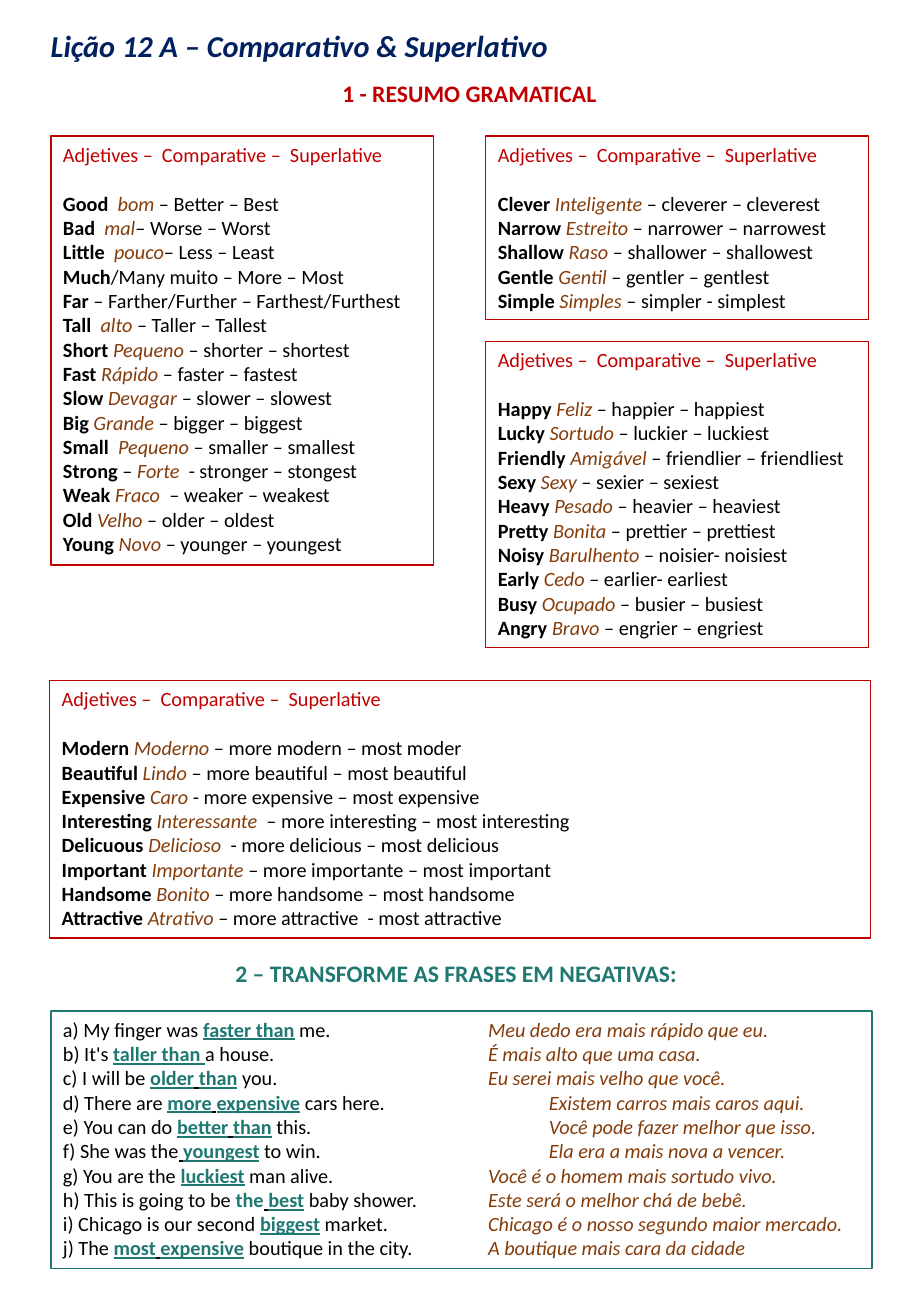
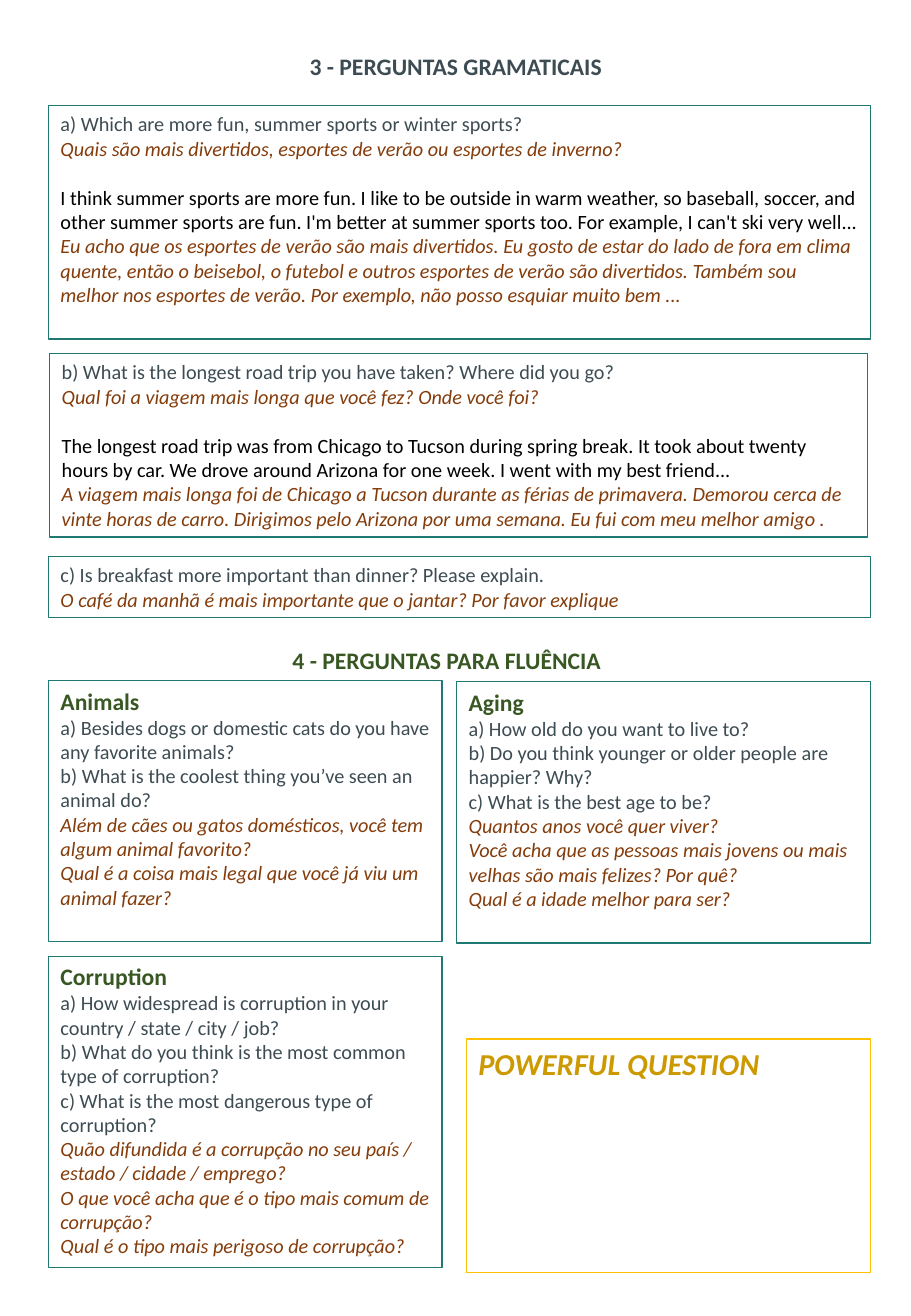
from lxml import etree
from pptx import Presentation
from pptx.dml.color import RGBColor
from pptx.enum.shapes import MSO_SHAPE
from pptx.enum.text import MSO_ANCHOR, PP_ALIGN
from pptx.oxml.ns import qn
from pptx.util import Inches, Pt

RECT = MSO_SHAPE.RECTANGLE
TOP = MSO_ANCHOR.TOP
LEFT, CENTER = PP_ALIGN.LEFT, PP_ALIGN.CENTER

FONT = "Calibri"
BLANK_LINE = 14.65
COLORS = {
    "navy": "002060",
    "red": "C00000",
    "teal": "1F7872",
    "brown": "843C0B",
    "slate": "3D4C53",
    "green": "385723",
    "gold": "CC9900",
    "yellow": "FFC000",
    "black": "000000",
}
MARKS = {
    "#": {"bold": True},
    "~": {"color": "brown", "italic": True},
    "+": {"color": "teal", "bold": True},
    "*": {"color": "teal", "bold": True, "underline": True},
    "_": {"underline": True},
}

WORD_HEADER = "Adjetives –  Comparative –  Superlative"
WORD_BOXES = [
    ((0.42, 1.12, 3.15, 3.53), [
        "#Good  |~bom| – Better – Best",
        "#Bad  |~mal|– Worse – Worst",
        "#Little  |~pouco|– Less – Least",
        "#Much|/Many muito – More – Most",
        "#Far| – Farther/Further – Farthest/Furthest",
        "#Tall  |~alto| – Taller – Tallest",
        "#Short |~Pequeno| – shorter – shortest",
        "#Fast |~Rápido| – faster – fastest",
        "#Slow |~Devagar| – slower – slowest",
        "#Big |~Grande| – bigger – biggest",
        "#Small  |~Pequeno| – smaller – smallest",
        "#Strong| – |~Forte|  - stronger – stongest",
        "#Weak |~Fraco|  – weaker – weakest",
        "#Old |~Velho| – older – oldest",
        "#Young |~Novo| – younger – youngest",
    ]),
    ((4, 1.12, 3.15, 1.51), [
        "#Clever |~Inteligente| – cleverer – cleverest",
        "#Narrow |~Estreito| – narrower – narrowest",
        "#Shallow |~Raso| – shallower – shallowest",
        "#Gentle |~Gentil| – gentler – gentlest",
        "#Simple |~Simples| – simpler - simplest",
    ]),
    ((4, 2.81, 3.15, 2.52), [
        "#Happy |~Feliz| – happier – happiest",
        "#Lucky |~Sortudo| – luckier – luckiest",
        "#Friendly |~Amigável| – friendlier – friendliest",
        "#Sexy |~Sexy| – sexier – sexiest",
        "#Heavy |~Pesado| – heavier – heaviest",
        "#Pretty |~Bonita| – prettier – prettiest",
        "#Noisy |~Barulhento| – noisier- noisiest",
        "#Early |~Cedo| – earlier- earliest",
        "#Busy |~Ocupado| – busier – busiest",
        "#Angry |~Bravo| – engrier – engriest",
    ]),
    ((0.41, 5.6, 6.76, 2.12), [
        "#Modern |~Moderno| – more modern – most moder",
        "#Beautiful |~Lindo| – more beautiful – most beautiful",
        "#Expensive |~Caro| - more expensive – most expensive",
        "#Interesting |~Interessante|  – more interesting – most interesting",
        "#Delicuous |~Delicioso|  - more delicious – most delicious",
        "#Important |~Importante| – more importante – most important",
        "#Handsome |~Bonito| – more handsome – most handsome",
        "#Attractive |~Atrativo| – more attractive  - most attractive",
    ]),
]

SENTENCE_TABS = (3.5, 4)
SENTENCES = [
    "a) My finger was |*faster than| me.|~\tMeu dedo era mais rápido que eu.",
    "b) It's |*taller than |a house.|~\tÉ mais alto que uma casa.",
    "c) I will be |*older|_ |*than| you.|~\tEu serei mais velho que você.",
    "d) There are |*more|_ |*expensive| cars here.|~\t\tExistem carros mais caros aqui.",
    "e) You can do |*better|_ |*than| this.|~\t\tVocê pode fazer melhor que isso.",
    "f) She was the|_ |*youngest| to win.|~\t\tEla era a mais nova a vencer.",
    "g) You are the |*luckiest| man alive.|~\tVocê é o homem mais sortudo vivo.",
    "h) This is going to be |+the|_ |*best| baby shower.|~\tEste será o melhor chá de bebê.",
    "i) Chicago is our second |*biggest| market.|~\tChicago é o nosso segundo maior mercado.",
    "j) The |*most|_ |*expensive| boutique in the city.|~\tA boutique mais cara da cidade",
]

GRAMMAR_BOXES = [
    ((0.4, 0.87, 6.77, 1.92),
     "a) Which are more fun, summer sports or winter sports?",
     "~Quais são mais divertidos, esportes de verão ou esportes de inverno?",
     ["I think summer sports are more fun. I like to be outside in warm weather, so baseball, "
      "soccer, and other summer sports are fun. I'm better at summer sports too. For example, "
      "I can't ski very well...",
      "~Eu acho que os esportes de verão são mais divertidos. Eu gosto de estar do lado de fora "
      "em clima quente, então o beisebol, o futebol e outros esportes de verão são divertidos. "
      "Também sou melhor nos esportes de verão. Por exemplo, não posso esquiar muito bem ..."]),
    ((0.41, 2.91, 6.73, 1.51),
     "b) What is the longest road trip you have taken? Where did you go?",
     "~Qual foi a viagem mais longa que você fez? Onde você foi?",
     ["The longest road trip was from Chicago to Tucson during spring break. It took about "
      "twenty hours by car. We drove around Arizona for one week. I went with my best friend...",
      "~A viagem mais longa foi de Chicago a Tucson durante as férias de primavera. Demorou "
      "cerca de vinte horas de carro. Dirigimos pelo Arizona por uma semana. Eu fui com meu "
      "melhor amigo ."]),
    ((0.4, 4.58, 6.77, 0.5),
     "c) Is breakfast more important than dinner? Please explain.",
     "~O café da manhã é mais importante que o jantar? Por favor explique",
     []),
]

FLUENCY_BOXES = [
    ((0.4, 5.6, 3.24, 2.15), "Animals", [
        "a) Besides dogs or domestic cats do you have any favorite animals?",
        "b) What is the coolest thing you’ve seen an animal do?",
        "~Além de cães ou gatos domésticos, você tem algum animal favorito?",
        "~Qual é a coisa mais legal que você já viu um animal fazer?",
    ]),
    ((3.76, 5.61, 3.41, 2.15), "Aging", [
        "a) How old do you want to live to?",
        "b) Do you think younger or older people are happier? Why?",
        "c) What is the best age to be?",
        "~Quantos anos você quer viver?",
        "~Você acha que as pessoas mais jovens ou mais velhas são mais felizes? Por quê?",
        "~Qual é a idade melhor para ser?",
    ]),
    ((0.4, 7.87, 3.24, 2.56), "Corruption", [
        "a) How widespread is corruption in your country / state / city / job?",
        "b) What do you think is the most common type of corruption?",
        "c) What is the most dangerous type of corruption?",
        "~Quão difundida é a corrupção no seu país / estado / cidade / emprego?",
        "~O que você acha que é o tipo mais comum de corrupção?",
        "~Qual é o tipo mais perigoso de corrupção?",
    ]),
]


def rgb(name):
    return RGBColor.from_string(COLORS[name])


def add_run(p, text, size=12, color="black", bold=False, italic=False, underline=False):
    r = p.add_run()
    r.text = text
    font = r.font
    font.name, font.size = FONT, Pt(size)
    font.bold, font.italic, font.underline = bold, italic, underline
    font.color.rgb = rgb(color)


def add_text(tf, text, align=LEFT, after=0, spacing=None, tabs=(), **fmt):
    p = tf.paragraphs[0]
    if p.runs:
        p = tf.add_paragraph()
    p.alignment = align
    p.space_after = Pt(after)
    if spacing:
        p.line_spacing = spacing
    if tabs:
        tab_list = etree.SubElement(p._p.get_or_add_pPr(), qn("a:tabLst"))
        for pos in tabs:
            etree.SubElement(tab_list, qn("a:tab"), pos=str(Inches(pos)), algn="l")
    for piece in text.split("|"):
        mark = MARKS.get(piece[0])
        add_run(p, piece[1:] if mark else piece, **{**fmt, **(mark or {})})


def add_box(s, at, line="teal"):
    sp = s.shapes.add_shape(RECT, *map(Inches, at))
    sp.shadow.inherit = False
    sp.fill.background()
    sp.line.color.rgb = rgb(line)
    sp.line.width = Pt(0.75)
    tf = sp.text_frame
    tf.word_wrap = True
    tf.vertical_anchor = TOP
    return tf


def add_heading(s, at, text, color, size=14, **fmt):
    tf = s.shapes.add_textbox(*map(Inches, at)).text_frame
    tf.word_wrap = False
    add_text(tf, text, size=size, color=color, bold=True, **fmt)


def add_word_box(s, at, words):
    tf = add_box(s, at, "red")
    add_text(tf, WORD_HEADER, color="red", after=BLANK_LINE)
    for word in words:
        add_text(tf, word)


def add_sentence_box(s, at):
    tf = add_box(s, at)
    for sentence in SENTENCES:
        add_text(tf, sentence, tabs=SENTENCE_TABS)


def add_grammar_box(s, at, question, translation, answer):
    tf = add_box(s, at)
    add_text(tf, question, color="slate")
    add_text(tf, translation, after=BLANK_LINE if answer else 0)
    for text in answer:
        add_text(tf, text)


def add_fluency_box(s, at, topic, questions):
    tf = add_box(s, at)
    add_text(tf, topic, size=14, color="green", bold=True)
    for question in questions:
        add_text(tf, question, color="slate")


def build_summary(s):
    add_heading(s, (0.29, 0.15, 4.35, 0.43), "Lição 12 A – Comparativo & Superlativo",
                "navy", size=18, italic=True, align=CENTER, spacing=1.07)
    add_heading(s, (2.72, 0.6, 2.31, 0.34), "1 - RESUMO GRAMATICAL", "red")
    for box in WORD_BOXES:
        add_word_box(s, *box)
    add_heading(s, (1.84, 7.84, 3.86, 0.34), "2 – TRANSFORME AS FRASES EM NEGATIVAS:", "teal")
    add_sentence_box(s, (0.42, 8.32, 6.76, 2.12))


def build_questions(s):
    add_heading(s, (2.45, 0.38, 2.63, 0.34), "3 - PERGUNTAS GRAMATICAIS", "slate")
    for box in GRAMMAR_BOXES:
        add_grammar_box(s, *box)
    add_heading(s, (2.31, 5.27, 2.76, 0.34), "4 - PERGUNTAS PARA FLUÊNCIA", "green")
    for box in FLUENCY_BOXES:
        add_fluency_box(s, *box)
    tf = add_box(s, (3.84, 8.55, 3.33, 1.92), "yellow")
    add_text(tf, "POWERFUL QUESTION", size=18, color="gold", bold=True, italic=True)


def main():
    prs = Presentation()
    prs.slide_width, prs.slide_height = Inches(7.5), Inches(10.83)
    blank = prs.slide_layouts[6]
    for build in (build_summary, build_questions):
        build(prs.slides.add_slide(blank))
    prs.save("out.pptx")


main()
